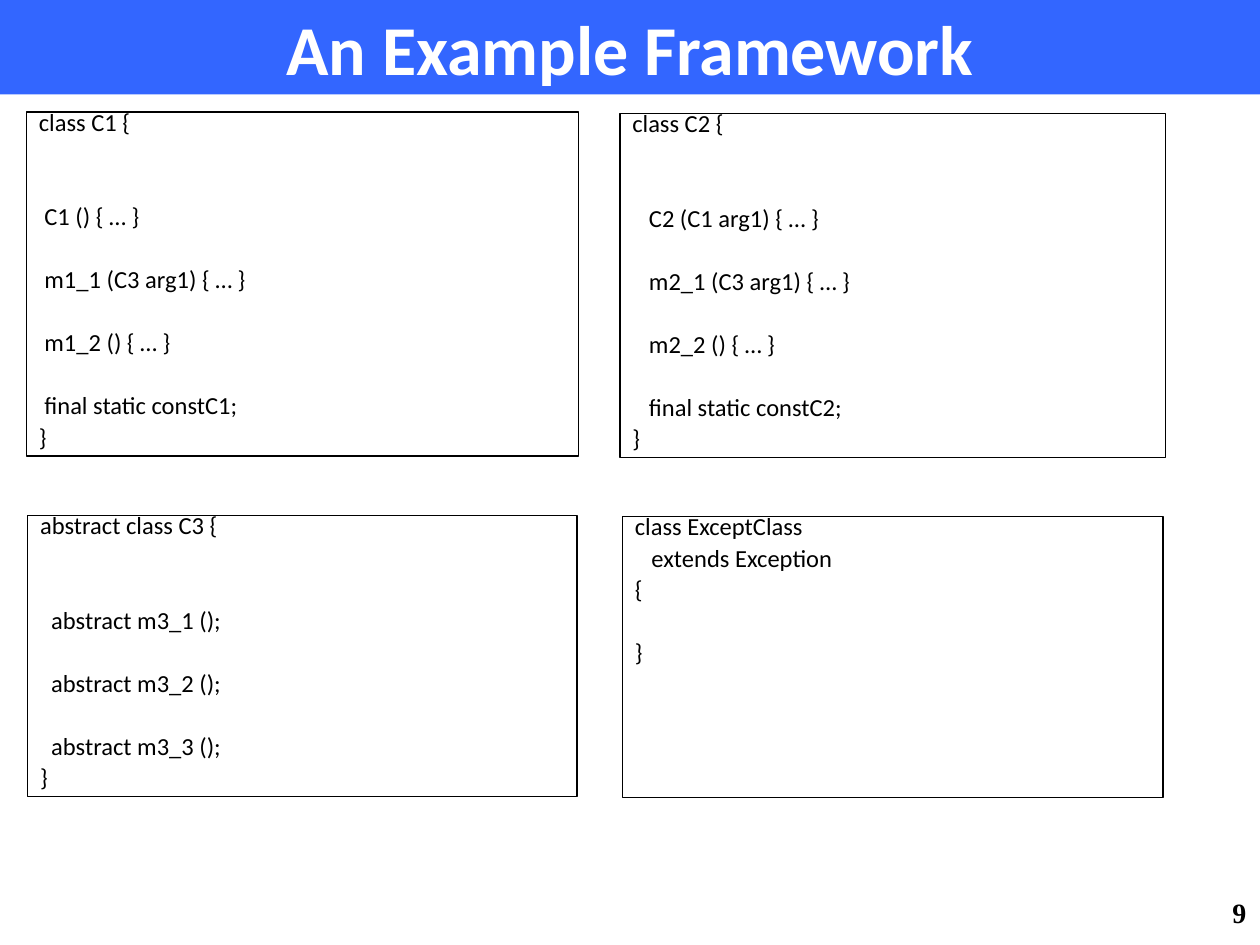
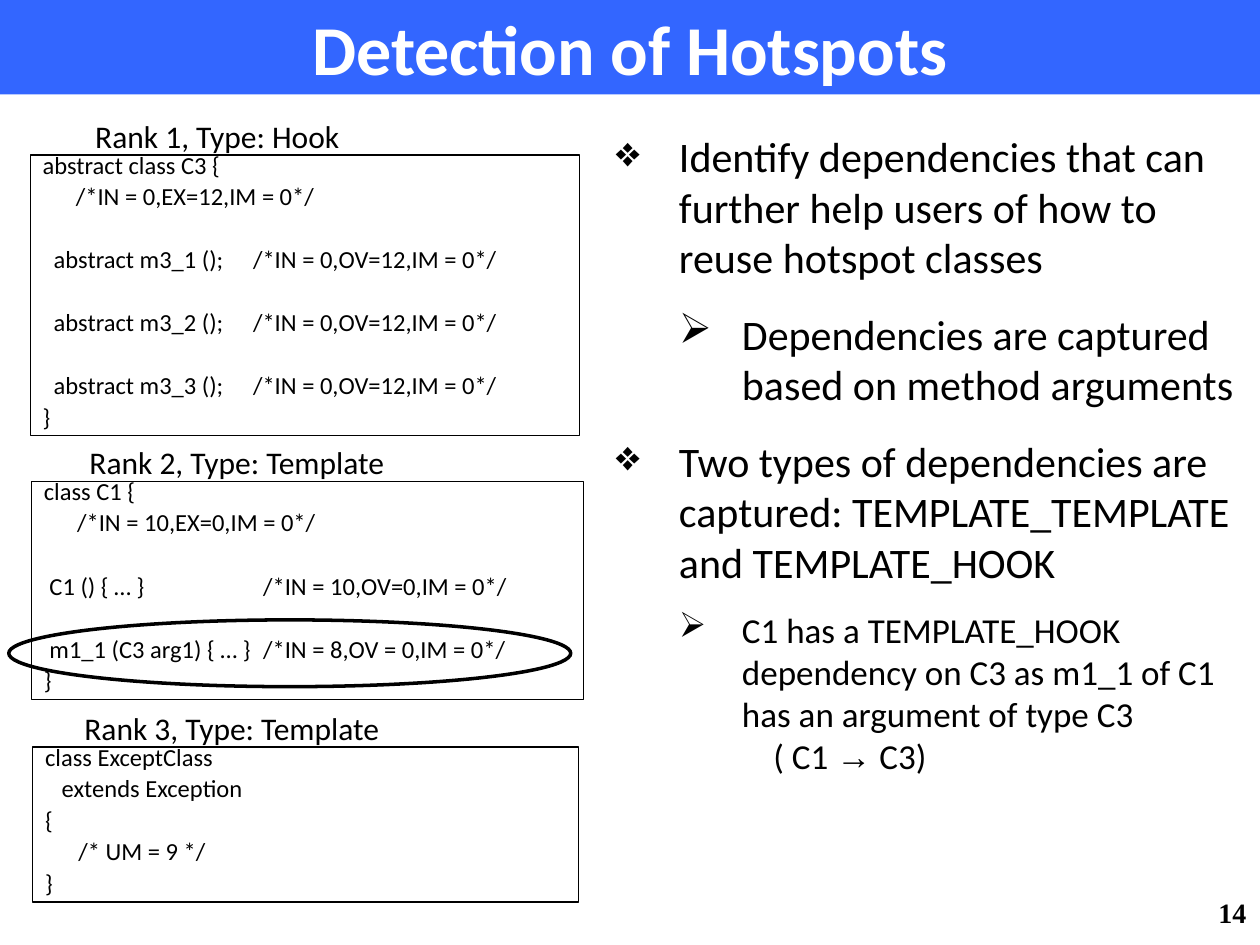
import pptx
import pptx.util
import pptx.dml.color
import pptx.enum.shapes
import pptx.enum.text
import lxml.etree

Inches = pptx.util.Inches
Pt = pptx.util.Pt
Form = pptx.enum.shapes.MSO_SHAPE
Align = pptx.enum.text.PP_ALIGN
Anchor = pptx.enum.text.MSO_ANCHOR
NS = "{http://schemas.openxmlformats.org/drawingml/2006/main}"
BLUE, BLACK, WHITE = "3366FF", "000000", "FFFFFF"
SANS, SERIF = "Calibri", "Times New Roman"
GAP, PITCH = 8.8, 18


def draw(page, form, spot, fill=None, edge=0, anchor=Anchor.TOP):
    shape = page.shapes.add_shape(form, *[Inches(n) for n in spot])
    shape.shadow.inherit = False
    shape.fill.background()
    if fill:
        shape.fill.solid()
        shape.fill.fore_color.rgb = pptx.dml.color.RGBColor.from_string(fill)
    shape.line.fill.background()
    if edge:
        shape.line.width = Pt(edge)
        shape.line.fill.solid()
        shape.line.color.rgb = pptx.dml.color.RGBColor.from_string(BLACK)
    shape.text_frame.word_wrap = True
    shape.text_frame.vertical_anchor = anchor
    return shape.text_frame


def write(frame, text, size, align=Align.LEFT, face=SANS, color=BLACK, bold=False):
    para = frame.paragraphs[0]
    if para.runs:
        para = frame.add_paragraph()
    para.alignment = align
    para.add_run().text = text
    para.font.size = Pt(size)
    para.font.name = face
    para.font.bold = bold
    para.font.color.rgb = pptx.dml.color.RGBColor.from_string(color)
    return para


hooks = [f"  abstract m3_{n} ();" for n in (1, 2, 3)]
error = ["class ExceptClass", "   extends Exception", "{"]
note = "\t/*IN = 0,OV=12,IM = 0*/"

pages = [
    ("An Example Framework", "9", [
        ((0.21, 0.89, 4.38, 2.73), 0, [
            "class C1 {", "", "", " C1 () { … }", "", " m1_1 (C3 arg1) { … }", "",
            " m1_2 () { … }", "", " final static constC1;", "}"]),
        ((4.92, 0.9, 4.33, 2.73), 0, [
            "class C2 {", "", "", "   C2 (C1 arg1) { … }", "", "   m2_1 (C3 arg1) { … }", "",
            "   m2_2 () { … }", "", "   final static constC2;", "}"]),
        ((0.22, 4.09, 4.36, 2.23), 0, [
            "abstract class C3 {", "", "", hooks[0], "", hooks[1], "", hooks[2], "}"]),
        ((4.94, 4.1, 4.29, 2.23), 0, error + ["", "}"]),
    ]),
    ("Detection of Hotspots", "14", [
        ((0.25, 3.82, 4.38, 1.73), 1.74, [
            "class C1 {", "      /*IN = 10,EX=0,IM = 0*/", "",
            " C1 () { … }\t/*IN = 10,OV=0,IM = 0*/", "",
            " m1_1 (C3 arg1) { … }\t/*IN = 8,OV = 0,IM = 0*/", "}"]),
        ((0.24, 1.23, 4.36, 2.23), 1.67, [
            "abstract class C3 {", "      /*IN = 0,EX=12,IM = 0*/", "",
            hooks[0] + note, "", hooks[1] + note, "", hooks[2] + note, "}"]),
        ((0.26, 5.93, 4.33, 1.23), 0, error + ["      /* UM = 9 */", "}"]),
    ]),
]

deck = pptx.Presentation()
deck.slide_width = Inches(10)
deck.slide_height = Inches(7.5)

for title, number, blocks in pages:
    page = deck.slides.add_slide(deck.slide_layouts[6])
    band = draw(page, Form.RECTANGLE, (0, 0, 10, 0.75), fill=BLUE, anchor=Anchor.MIDDLE)
    write(band, title, 40, Align.CENTER, color=WHITE, bold=True)
    for spot, stop, lines in blocks:
        frame = draw(page, Form.RECTANGLE, spot, edge=0.75)
        blanks = 0
        for row, line in enumerate(lines):
            if not line:
                blanks += 1
                continue
            para = write(frame, line, 14)
            para.line_spacing = 0.55
            para.space_before = Pt(GAP + PITCH * blanks if row else 0)
            blanks = 0
            if "\t" in line:
                tabs = lxml.etree.Element(NS + "tabLst")
                lxml.etree.SubElement(tabs, NS + "tab", pos=str(Inches(stop)), algn="l")
                para._p.pPr.find(NS + "defRPr").addprevious(tabs)
    foot = page.shapes.add_textbox(Inches(7.91), Inches(6.99), Inches(2.08), Inches(0.5)).text_frame
    foot.word_wrap = True
    foot.vertical_anchor = Anchor.MIDDLE
    write(foot, number, 16, Align.RIGHT, SERIF, bold=True)

ranks = [
    ("Rank 1, Type: Hook", 0.08, 0.88, 3.29),
    ("Rank 2, Type: Template", 0.24, 3.47, 3.28),
    ("Rank 3, Type: Template", 0.32, 5.58, 3.04),
]
for text, left, top, width in ranks:
    label = page.shapes.add_textbox(Inches(left), Inches(top), Inches(width), Inches(0.4)).text_frame
    label.word_wrap = True
    write(label, text, 18, Align.CENTER)

points = [
    ("Identify dependencies that can further help users of how to reuse hotspot classes", 0, 24, 0, "❖"),
    ("Dependencies are captured based on method arguments", 1, 24, 15, "➢"),
    ("Two types of dependencies are captured: TEMPLATE_TEMPLATE and TEMPLATE_HOOK", 0, 24, 15, "❖"),
    ("C1 has a TEMPLATE_HOOK dependency on C3 as m1_1 of C1 has an argument of type C3", 1, 20, 12.5, "➢"),
    ("( C1 ", 1, 20, 0, ""),
]
body = page.shapes.add_textbox(Inches(4.79), Inches(0.99), Inches(5.11), Inches(5.63)).text_frame
body.word_wrap = True
for text, level, size, before, mark in points:
    para = write(body, text, size)
    para.level = level
    para.space_before = Pt(before)
    props = para._p.pPr
    props.set("marL", str(Inches(0.5 + 0.5 * level if mark else 1.25)))
    props.set("indent", str(Inches(-0.5 if mark else 0)))
    bullet = lxml.etree.Element(NS + ("buChar" if mark else "buNone"))
    if mark:
        bullet.set("char", mark)
    props.find(NS + "defRPr").addprevious(bullet)
arrow = para.add_run()
arrow.text = "→"
arrow.font.name = "Arial"
para.add_run().text = " C3)"

draw(page, Form.OVAL, (0.07, 4.92, 4.46, 0.53), edge=2)

deck.save("out.pptx")
